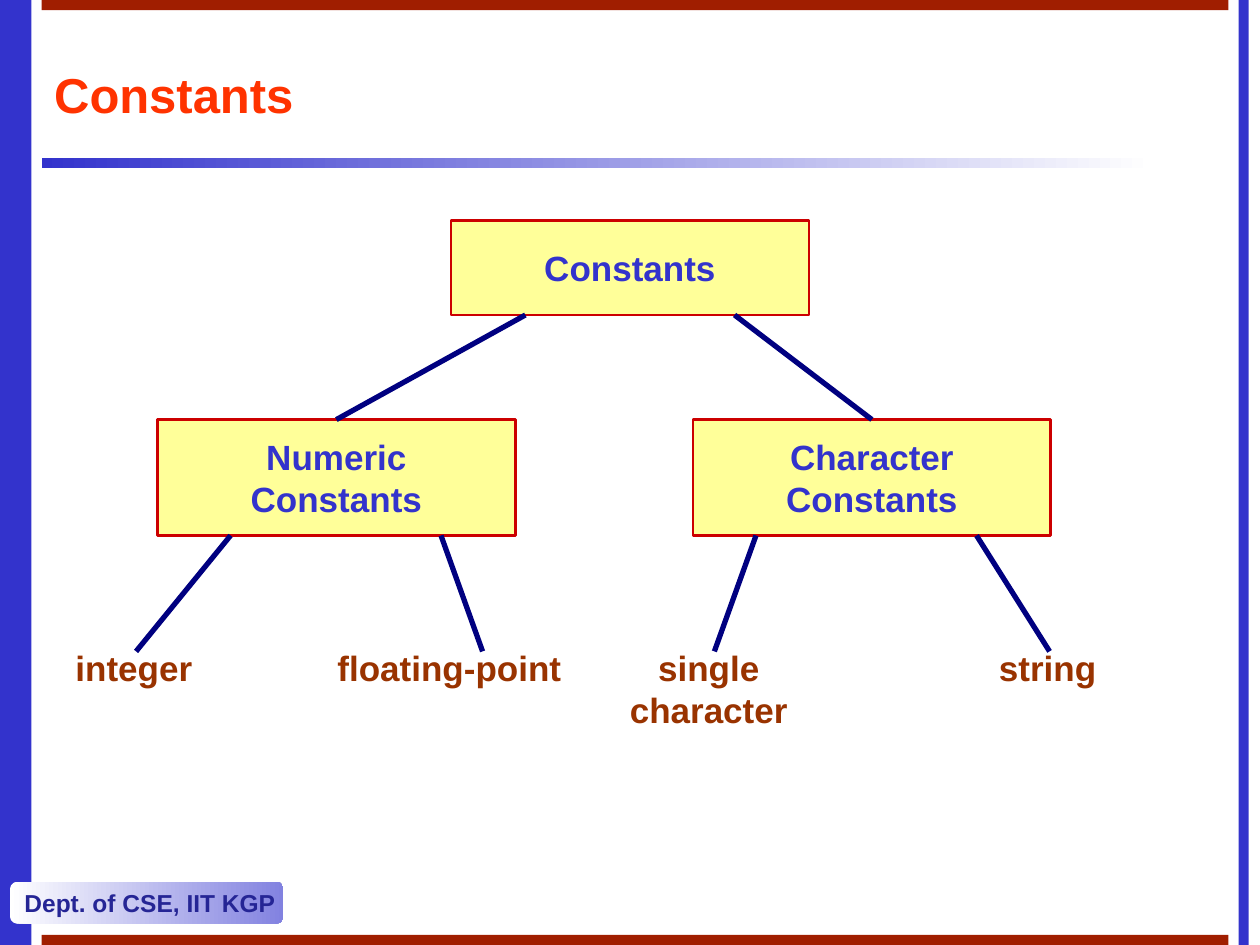
from lxml import etree
from pptx import Presentation
from pptx.dml.color import RGBColor
from pptx.enum.shapes import MSO_CONNECTOR, MSO_SHAPE
from pptx.enum.text import MSO_ANCHOR, PP_ALIGN
from pptx.oxml.ns import qn
from pptx.util import Inches, Pt

RECT = MSO_SHAPE.RECTANGLE
ROUND = MSO_SHAPE.ROUNDED_RECTANGLE
LINE = MSO_CONNECTOR.STRAIGHT
LEFT, CENTER = PP_ALIGN.LEFT, PP_ALIGN.CENTER
TOP, MIDDLE = MSO_ANCHOR.TOP, MSO_ANCHOR.MIDDLE

HUES = {
    "blue": "3333CC",
    "white": "FFFFFF",
    "lilac": "8282E0",
    "navy": "252595",
    "brick": "A01E00",
    "title": "FF3300",
    "node": "FFFF99",
    "edge": "CC0000",
    "leaf": "993300",
    "link": "000080",
}


def hue(name):
    return RGBColor.from_string(HUES[name])


def place(box):
    return [Inches(v) for v in box]


def write(shape, text, size, color, align=LEFT, anchor=MIDDLE, wrap=False):
    frame = shape.text_frame
    frame.text = text
    frame.word_wrap = wrap
    frame.vertical_anchor = anchor
    for para in frame.paragraphs:
        para.alignment = align
        for run in para.runs:
            font = run.font
            font.name = "Arial"
            font.size = Pt(size)
            font.bold = True
            font.color.rgb = hue(color)


def block(slide, box, fill, fade=None, kind=RECT):
    shape = slide.shapes.add_shape(kind, *place(box))
    shape.shadow.inherit = False
    shape.line.fill.background()
    if fade:
        shape.fill.gradient()
        shape.fill.gradient_angle = 0
        for stop, name in zip(shape.fill.gradient_stops, (fill, fade)):
            stop.color.rgb = hue(name)
    else:
        shape.fill.solid()
        shape.fill.fore_color.rgb = hue(fill)
    return shape


def link(slide, start, end):
    line = slide.shapes.add_connector(LINE, *place(start + end))
    line.line.color.rgb = hue("link")
    line.line.width = Pt(3)
    etree.SubElement(line._element.spPr, qn("a:effectLst"))
    return line


def frame(slide, box):
    left, top, wide, high = box
    thin = 0.08
    block(slide, (left, top, 0.25, high), "blue")
    block(slide, (left + 0.33, top + 1.25, 8.83, thin), "blue", "white")
    block(slide, (left + wide - 0.17, top, thin, high), "blue")
    for y in (top, top + high - thin):
        block(slide, (left + 0.33, y, wide - 0.58, thin), "brick")


def footer(slide, box):
    badge = block(slide, box, "white", "lilac", ROUND)
    write(badge, "Dept. of CSE, IIT KGP", 14, "navy")


def header(slide, box):
    title = slide.shapes.title
    title.left, title.top, title.width, title.height = place(box)
    write(title, "Constants", 28, "title", wrap=True)


def node(slide, box, text):
    shape = block(slide, box, "node")
    shape.line.color.rgb = hue("edge")
    shape.line.width = Pt(1.5)
    write(shape, text, 20, "blue", CENTER)
    return shape


def leaf(slide, box, text, align):
    shape = slide.shapes.add_textbox(*place(box))
    write(shape, text, 20, "leaf", align, TOP, True)


def tree(slide, box):
    left, top, wide, high = box
    node_w, root_h, kind_h = 2.84, 0.75, 0.92
    kind_y = top + 1.58
    leaf_y = top + 3.33
    foot = kind_y + kind_h
    node(slide, (left + 3.08, top, node_w, root_h), "Constants")

    kinds = [
        (0.75, "Numeric\nConstants", 3.67),
        (5, "Character\nConstants", 5.33),
    ]
    for x, text, root_x in kinds:
        shape = node(slide, (left + x, kind_y, node_w, kind_h), text)
        line = link(slide, (left + x + node_w / 2, kind_y),
                    (left + root_x, top + root_h))
        line.begin_connect(shape, 0)

    leaves = [
        (0, 1.75, "integer", LEFT, 1.33, 0.58),
        (2.08, 2.25, "floating-point", LEFT, 3, 3.33),
        (4.25, 1.75, "single\ncharacter", CENTER, 5.5, 5.17),
        (7.33, 1.25, "string", LEFT, 7.25, 7.83),
    ]
    for x, width, text, align, start, end in leaves:
        tall = 0.77 if "\n" in text else 0.44
        leaf(slide, (left + x, leaf_y, width, tall), text, align)
        link(slide, (left + start, foot), (left + end, leaf_y + 0.09))


def main():
    deck = Presentation()
    deck.slide_width, deck.slide_height = Inches(10), Inches(7.5)
    slide = deck.slides.add_slide(deck.slide_layouts[5])
    frame(slide, (0, 0, 10, 7.5))
    footer(slide, (0.08, 7, 2.17, 0.33))
    header(slide, (0.33, 0.33, 9.42, 0.83))
    tree(slide, (0.5, 1.75, 8.58, 4.1))
    deck.save("out.pptx")


if __name__ == "__main__":
    main()
